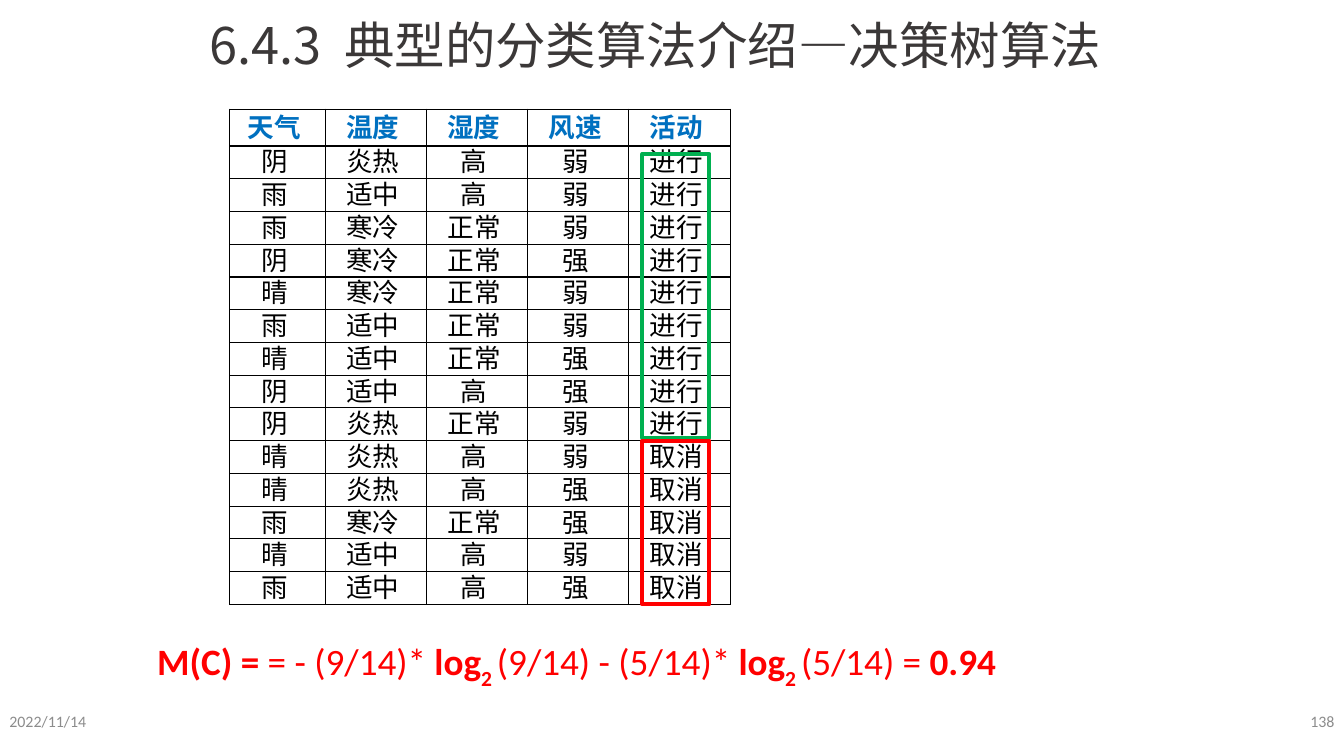
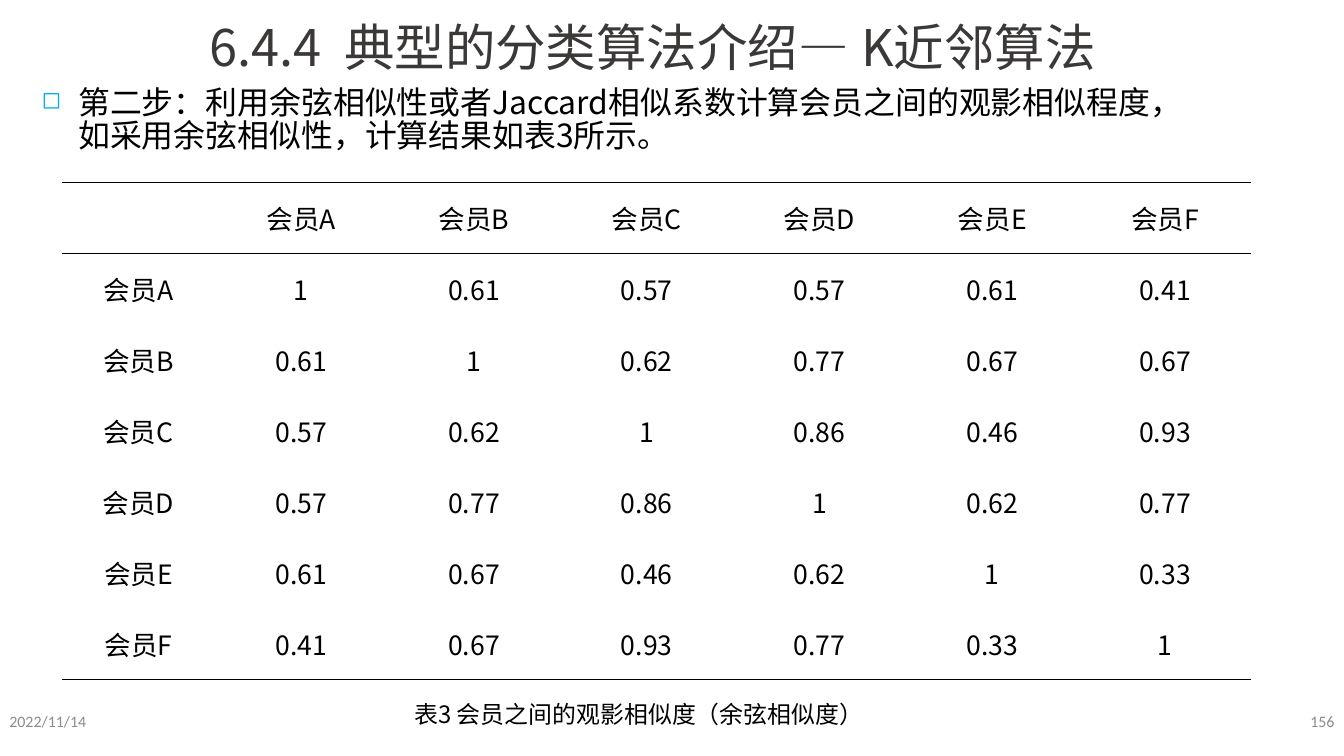
from dataclasses import dataclass

from lxml.etree import SubElement
from pptx import Presentation
from pptx.dml.color import RGBColor
from pptx.enum.shapes import MSO_SHAPE
from pptx.enum.text import MSO_ANCHOR, MSO_AUTO_SIZE, PP_ALIGN
from pptx.oxml.ns import qn
from pptx.util import Cm, Pt


@dataclass(frozen=True)
class Theme:
    cjk: str = "Noto Sans CJK SC"
    latin: str = "Calibri"
    title_ink: str = "3B3838"
    ink: str = "000000"
    muted: str = "8C8C8C"
    header: str = "0070C0"
    bullet: str = "00B0F2"
    go: str = "00B050"
    stop: str = "FF0000"
    title_size: int = 38
    title_gap_size: int = 40
    formula_size: int = 28
    body_size: int = 24
    table_size: int = 20
    caption_size: int = 18
    footer_size: int = 12


@dataclass(frozen=True)
class Box:
    left: float
    top: float
    width: float
    height: float

    def lengths(self):
        return [Cm(v) for v in (self.left, self.top, self.width, self.height)]


THEME = Theme()
PAGE = Box(0, 0, 35.71, 20.09)
DATE = "2022/11/14"

WEATHER_HEADER = "天气 温度 湿度 风速 活动"
WEATHER_DAYS = [
    "阴 炎热 高 弱 进行",
    "雨 适中 高 弱 进行",
    "雨 寒冷 正常 弱 进行",
    "阴 寒冷 正常 强 进行",
    "晴 寒冷 正常 弱 进行",
    "雨 适中 正常 弱 进行",
    "晴 适中 正常 强 进行",
    "阴 适中 高 强 进行",
    "阴 炎热 正常 弱 进行",
    "晴 炎热 高 弱 取消",
    "晴 炎热 高 强 取消",
    "雨 寒冷 正常 强 取消",
    "晴 适中 高 弱 取消",
    "雨 适中 高 强 取消",
]
FORMULA = [
    ("M(C) = ", True, None),
    ("= - (9/14)*", False, None),
    (" log", True, None),
    ("2 ", True, -30000),
    ("(9/14) - (5/14)*", False, None),
    (" log", True, None),
    ("2 ", True, -30000),
    ("(5/14) = ", False, None),
    ("0.94", True, None),
]
SIMILARITY = {
    "会员A": "1 0.61 0.57 0.57 0.61 0.41",
    "会员B": "0.61 1 0.62 0.77 0.67 0.67",
    "会员C": "0.57 0.62 1 0.86 0.46 0.93",
    "会员D": "0.57 0.77 0.86 1 0.62 0.77",
    "会员E": "0.61 0.67 0.46 0.62 1 0.33",
    "会员F": "0.41 0.67 0.93 0.77 0.33 1",
}


def write(paragraph, text, *, size, color=THEME.ink, font=THEME.cjk, bold=False,
          align=None, spacing=None, baseline=None):
    run = paragraph.add_run()
    run.text = text
    run.font.size = Pt(size)
    run.font.bold = bold
    run.font.name = font
    run.font.color.rgb = RGBColor.from_string(color)
    properties = run.font._element
    SubElement(properties, qn("a:ea"), typeface=font)
    if baseline is not None:
        properties.set("baseline", str(baseline))
    if align is not None:
        paragraph.alignment = align
    if spacing is not None:
        paragraph.line_spacing = spacing


def add_frame(slide, box, anchor=MSO_ANCHOR.TOP):
    frame = slide.shapes.add_textbox(*box.lengths()).text_frame
    frame.word_wrap = True
    frame.vertical_anchor = anchor
    return frame


def add_title(slide, box, parts):
    title = slide.shapes.title
    title.left, title.top, title.width, title.height = box.lengths()
    frame = title.text_frame
    frame.word_wrap = False
    frame.auto_size = MSO_AUTO_SIZE.SHAPE_TO_FIT_TEXT
    frame.vertical_anchor = MSO_ANCHOR.TOP
    frame.margin_left = frame.margin_right = Cm(0.28)
    frame.margin_top = frame.margin_bottom = Cm(0.13)
    for text, size, bold in parts:
        write(frame.paragraphs[0], text, size=size, bold=bold,
              color=THEME.title_ink, align=PP_ALIGN.LEFT, spacing=0.9)


def add_footer(slide, box, number):
    width = 8.03
    entries = [(box.left, DATE, PP_ALIGN.LEFT),
               (box.left + box.width - width, number, PP_ALIGN.RIGHT)]
    for left, text, align in entries:
        frame = add_frame(slide, Box(left, box.top, width, box.height), MSO_ANCHOR.MIDDLE)
        write(frame.paragraphs[0], text, size=THEME.footer_size,
              color=THEME.muted, font=THEME.latin, align=align)


def new_slide(deck, title_box, title_parts, number):
    slide = deck.slides.add_slide(deck.slide_layouts[5])
    add_title(slide, title_box, title_parts)
    add_footer(slide, Box(PAGE.left, 18.62, PAGE.width, 1.07), number)
    return slide


def set_borders(cell, ruled_sides):
    properties = cell._tc.get_or_add_tcPr()
    for index, side in enumerate("LRTB"):
        line = SubElement(properties, qn(f"a:ln{side}"), w=str(Pt(1)))
        if side in ruled_sides:
            fill = SubElement(line, qn("a:solidFill"))
            SubElement(fill, qn("a:srgbClr"), val=THEME.ink)
        else:
            SubElement(line, qn("a:noFill"))
        properties.insert(index, line)


def add_grid(slide, box, rows, widths, heights, ruled_sides, margins, style):
    table = slide.shapes.add_table(len(rows), len(widths), *box.lengths()).table
    table.first_row = table.horz_banding = False
    for column, width in zip(table.columns, widths):
        column.width = Cm(width)
    for row, height in zip(table.rows, heights):
        row.height = Cm(height)
    for r, words in enumerate(rows):
        for c, word in enumerate(words):
            cell = table.cell(r, c)
            cell.fill.background()
            set_borders(cell, ruled_sides(r))
            cell.vertical_anchor = MSO_ANCHOR.MIDDLE
            cell.margin_left = cell.margin_right = Cm(margins[0])
            cell.margin_top, cell.margin_bottom = Cm(margins[1]), Cm(0)
            if word:
                write(cell.text_frame.paragraphs[0], word, size=THEME.table_size,
                      align=PP_ALIGN.CENTER, **style(r))


def add_outline(slide, box, color):
    outline = slide.shapes.add_shape(MSO_SHAPE.RECTANGLE, *box.lengths())
    outline.shadow.inherit = False
    outline.fill.background()
    outline.line.color.rgb = RGBColor.from_string(color)
    outline.line.width = Pt(3)


def add_weather_table(slide, box):
    first_width, header_height = 2.54, 0.98
    column_width = (box.width - first_width) / 4
    day_height = (box.height - header_height) / len(WEATHER_DAYS)
    rows = [[f"{word} " for word in line.split()]
            for line in [WEATHER_HEADER, *WEATHER_DAYS]]

    def style(row):
        return {"bold": row == 0, "spacing": 0.78,
                "color": THEME.ink if row else THEME.header}

    add_grid(slide, box, rows, [first_width] + [column_width] * 4,
             [header_height] + [day_height] * len(WEATHER_DAYS),
             lambda row: "LRTB", (0.03, 0.03), style)

    days_top = box.top + header_height
    held = sum(line.endswith("进行") for line in WEATHER_DAYS)
    split = days_top + held * day_height
    outline_left = box.left + box.width - column_width + 0.36
    held_top = days_top + 0.21
    add_outline(slide, Box(outline_left, held_top, 1.78, split - held_top - 0.08), THEME.go)
    add_outline(slide, Box(outline_left, split, 1.78, box.top + box.height - split), THEME.stop)


def add_formula(slide, box):
    frame = add_frame(slide, box)
    for text, bold, baseline in FORMULA:
        write(frame.paragraphs[0], text, size=THEME.formula_size, color=THEME.stop,
              font=THEME.latin, bold=bold, baseline=baseline, align=PP_ALIGN.CENTER)


def add_step(slide, box, text):
    paragraph = add_frame(slide, box).paragraphs[0]
    properties = paragraph._p.get_or_add_pPr()
    properties.set("marL", str(Cm(0.97)))
    properties.set("indent", str(-Cm(0.97)))
    bullet_color = SubElement(properties, qn("a:buClr"))
    SubElement(bullet_color, qn("a:srgbClr"), val=THEME.bullet)
    SubElement(properties, qn("a:buSzPct"), val="75000")
    SubElement(properties, qn("a:buChar"), char="◻")
    write(paragraph, text, size=THEME.body_size, spacing=0.85)


def add_similarity_table(slide, box):
    members = list(SIMILARITY)
    rows = [["", *members]]
    rows += [[member, *values.split()] for member, values in SIMILARITY.items()]
    first_width = 4.06
    member_width = (box.width - first_width) / len(members)
    last = len(members)
    add_grid(slide, box, rows, [first_width] + [member_width] * len(members),
             [box.height / len(rows)] * len(rows),
             lambda row: {0: "TB", 1: "T", last: "B"}.get(row, ""),
             (0.18, 0), lambda row: {})


def add_caption(slide, box, text):
    frame = add_frame(slide, box, MSO_ANCHOR.MIDDLE)
    write(frame.paragraphs[0], text, size=THEME.caption_size, align=PP_ALIGN.CENTER)


def build_decision_tree(deck):
    title = [("6.4.3  典型的分类算法介绍—决策树算法", THEME.title_size, False)]
    slide = new_slide(deck, Box(5.28, 0.43, 24.79, 1.9), title, "138")
    add_formula(slide, Box(2.67, 16.84, 25.3, 1.45))
    add_weather_table(slide, Box(6.1, 2.9, 13.3, 13.16))


def build_nearest_neighbours(deck):
    title = [("6.4.4  典型的分类算法介绍—", THEME.title_size, False),
             (" ", THEME.title_gap_size, True),
             ("K近邻算法", THEME.title_size, False)]
    slide = new_slide(deck, Box(5.28, 0.43, 25.12, 1.98), title, "156")
    add_step(slide, Box(0.86, 2.24, 31.19, 2.39),
             "第二步：利用余弦相似性或者Jaccard相似系数计算会员之间的观影相似程度，"
             "如采用余弦相似性，计算结果如表3所示。")
    add_caption(slide, Box(9.7, 18.44, 14.55, 1.07), "表3 会员之间的观影相似度（余弦相似度）")
    add_similarity_table(slide, Box(1.65, 4.85, 31.6, 13.21))


def main():
    deck = Presentation()
    deck.slide_width, deck.slide_height = Cm(PAGE.width), Cm(PAGE.height)
    build_decision_tree(deck)
    build_nearest_neighbours(deck)
    deck.save("out.pptx")


if __name__ == "__main__":
    main()
